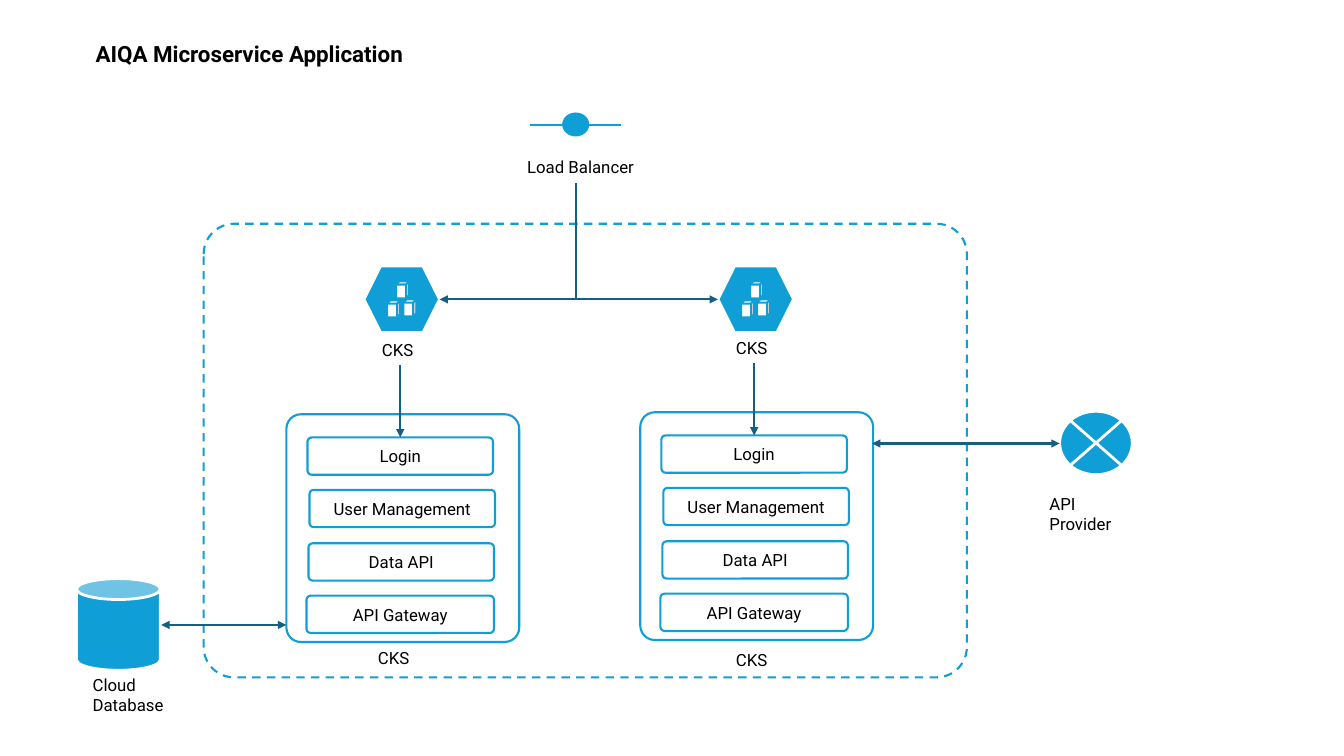
from lxml.etree import SubElement
from pptx import Presentation
from pptx.dml.color import RGBColor
from pptx.enum.dml import MSO_LINE
from pptx.enum.shapes import MSO_CONNECTOR, MSO_SHAPE as Preset
from pptx.enum.text import MSO_ANCHOR, MSO_AUTO_SIZE, PP_ALIGN as Align
from pptx.oxml.ns import qn
from pptx.util import Emu, Pt

PX = 9144
BLUE, DARK, WHITE, BLACK = "0F9ED5", "156082", "FFFFFF", "000000"
SERVICES = [
    ("Login", 305, 184),
    ("User Management", 307, 184),
    ("Data API", 306, 184),
    ("API Gateway", 304, 186),
]
CUBES = [(384, 298), (400, 297), (393, 279)]


def px(*lengths):
    return [Emu(length * PX) for length in lengths]


def colour(value):
    return RGBColor.from_string(value)


def write(frame, text, size=12, bold=False, align=Align.LEFT):
    frame.word_wrap = True
    paragraph = frame.paragraphs[0]
    paragraph.alignment = align
    run = paragraph.add_run()
    run.text = text
    run.font.name = "Roboto"
    run.font.size = Pt(size)
    run.font.bold = bold
    run.font.color.rgb = colour(BLACK)


class Diagram:
    """Draws styled diagram parts on one slide, in hundredths of an inch."""

    def __init__(self, slide):
        self.slide = slide

    def shape(self, preset, box, fill=BLUE, line=WHITE, width=2, radius=None, dash=None):
        shape = self.slide.shapes.add_shape(preset, *px(*box))
        shape.shadow.inherit = False
        shape.fill.solid()
        shape.fill.fore_color.rgb = colour(fill)
        shape.line.color.rgb = colour(line)
        shape.line.width = Pt(width)
        if dash:
            shape.line.dash_style = dash
        if radius:
            shape.adjustments[0] = radius
        return shape

    def panel(self, box, radius, dash=None):
        return self.shape(Preset.ROUNDED_RECTANGLE, box, WHITE, BLUE, 1.5, radius, dash)

    def service(self, text, box):
        frame = self.panel(box, 0.112).text_frame
        frame.vertical_anchor = MSO_ANCHOR.MIDDLE
        write(frame, text, align=Align.CENTER)

    def label(self, text, box, **style):
        frame = self.slide.shapes.add_textbox(*px(*box)).text_frame
        write(frame, text, **style)
        frame.auto_size = MSO_AUTO_SIZE.SHAPE_TO_FIT_TEXT

    def connect(self, ends, ink=DARK, width=1.5, arrows=()):
        connector = self.slide.shapes.add_connector(MSO_CONNECTOR.STRAIGHT, *px(*ends))
        connector.line.color.rgb = colour(ink)
        connector.line.width = Pt(width)
        outline = connector.line._get_or_add_ln()
        for end in arrows:
            SubElement(outline, qn(f"a:{end}"), type="triangle")
        SubElement(connector._element.spPr, qn("a:effectLst"))

    def cluster(self, dx, dy):
        self.panel((284 + dx, 411 + dy, 231, 226), 0.064)
        self.shape(Preset.HEXAGON, (361 + dx, 264, 75, 66))
        for row, (text, left, width) in enumerate(SERVICES):
            top = 434 + 105 * row // 2
            self.service(text, (left + dx, top + dy, width, 37))
        self.label("CKS", (369 + dx, 332 + dy, 55, 30))
        for left, top in CUBES:
            self.shape(Preset.CUBE, (left + dx, top, 13, 17), WHITE, BLUE, 1.5)
        self.connect((397 + dx, 362 + dy, 397 + dx, 434 + dy), arrows=["tailEnd"])


def main():
    presentation = Presentation()
    presentation.slide_width, presentation.slide_height = px(1333, 750)
    diagram = Diagram(presentation.slides.add_slide(presentation.slide_layouts[6]))

    diagram.shape(Preset.CAN, (76, 574, 83, 91))
    diagram.panel((202, 222, 757, 450), 0.067, MSO_LINE.DASH)
    for dx, dy in [(0, 0), (351, -2)]:
        diagram.cluster(dx, dy)
    diagram.shape(Preset.FLOWCHART_SUMMING_JUNCTION, (1051, 408, 72, 63))
    diagram.connect((526, 124, 616, 124), BLUE, 2)
    diagram.shape(Preset.OVAL, (559, 113, 24, 21), line=BLUE)

    both = ["headEnd", "tailEnd"]
    for ends in [(1051, 440, 865, 440), (712, 297, 436, 297), (284, 620, 160, 620)]:
        diagram.connect(ends, arrows=both)
    diagram.connect((571, 296, 571, 182))

    diagram.label("CKS", (365, 638, 55, 30))
    diagram.label("CKS", (720, 640, 55, 30))
    diagram.label("Cloud Database", (82, 664, 108, 50))
    diagram.label("Load Balancer", (513, 151, 136, 30))
    diagram.label("API Provider", (1031, 485, 111, 50))
    diagram.label("AIQA Microservice Application", (85, 35, 340, 37), size=16, bold=True)
    presentation.save("out.pptx")


if __name__ == "__main__":
    main()
